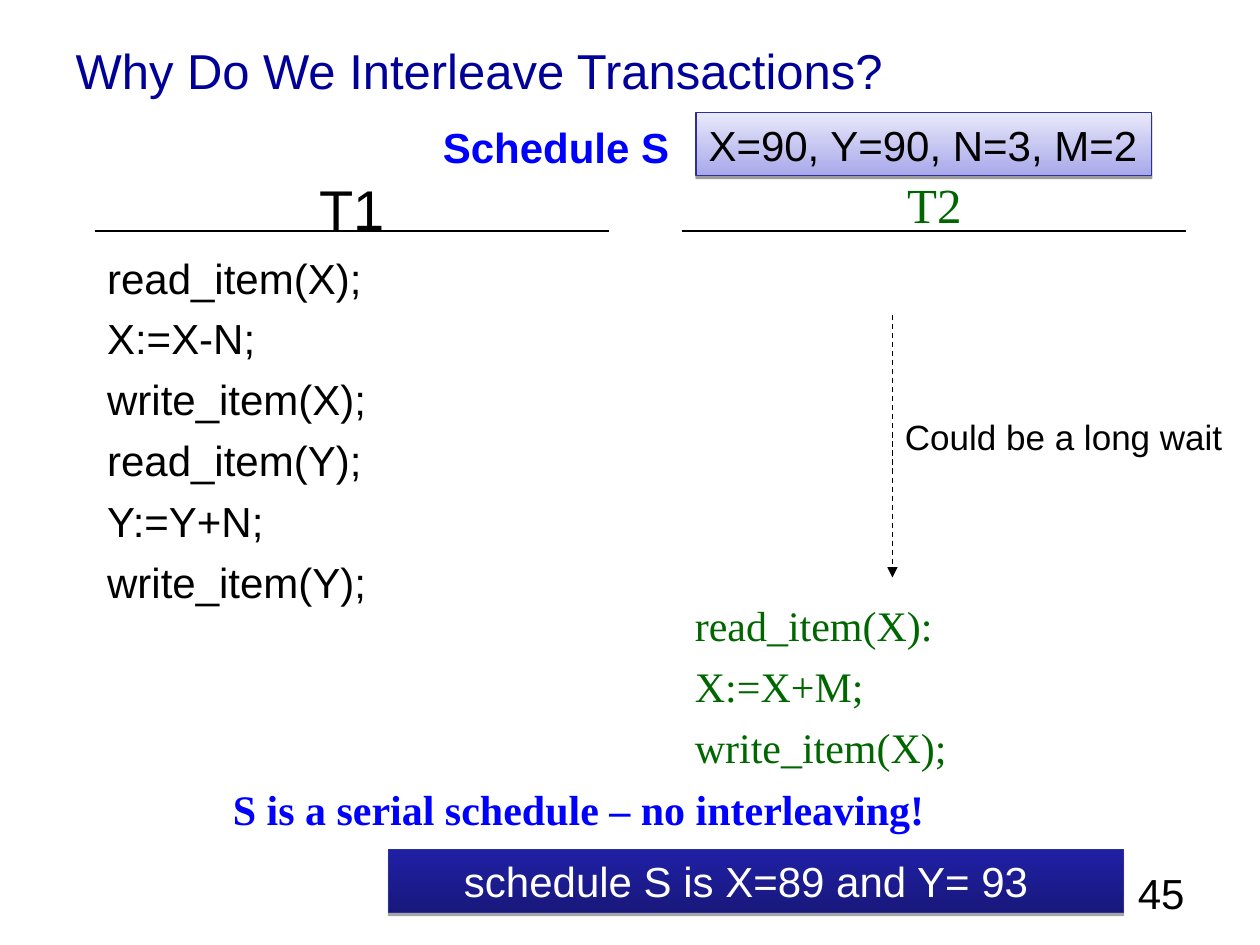
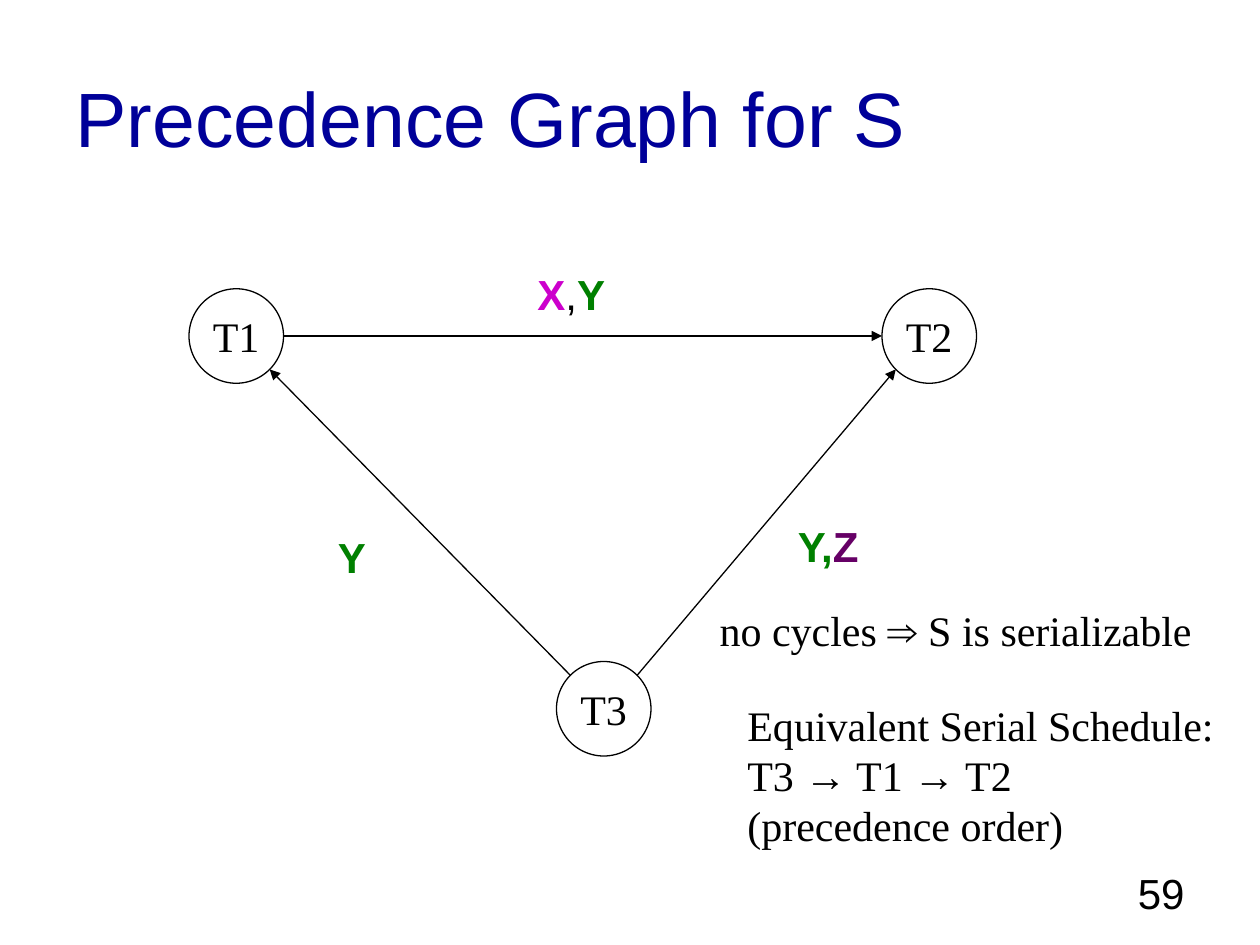
from lxml import etree
from pptx import Presentation
from pptx.dml.color import RGBColor
from pptx.enum.dml import MSO_LINE
from pptx.enum.shapes import MSO_CONNECTOR, MSO_SHAPE
from pptx.enum.text import MSO_ANCHOR, MSO_AUTO_SIZE, PP_ALIGN
from pptx.oxml.ns import qn
from pptx.util import Inches, Pt

LEFT, CENTER, RIGHT = PP_ALIGN.LEFT, PP_ALIGN.CENTER, PP_ALIGN.RIGHT
TOP, MIDDLE = MSO_ANCHOR.TOP, MSO_ANCHOR.MIDDLE
NO_FIT, GROW = MSO_AUTO_SIZE.NONE, MSO_AUTO_SIZE.SHAPE_TO_FIT_TEXT
RECT, OVAL = MSO_SHAPE.RECTANGLE, MSO_SHAPE.OVAL
STRAIGHT, DASH = MSO_CONNECTOR.STRAIGHT, MSO_LINE.DASH

# Shared style
SANS, SERIF = "Arial", "Times New Roman"
BLACK, WHITE, NAVY, BLUE = "000000", "FFFFFF", "000099", "0000FF"
DARK_GREEN, GREEN, MAGENTA, PURPLE = "006600", "008000", "CC00CC", "660066"
EDGE = "2F2F98"
TITLE_ONLY, TITLE_AND_BODY = 5, 1

# Grid of 120 columns by 90 rows
WIDTH, HEIGHT = Inches(10), Inches(7.5)
HANG = 4.5


def col(n):
    return round(WIDTH * n / 120)


def row(n):
    return round(HEIGHT * n / 90)


def area(x, y, w, h):
    return col(x), row(y), col(w), row(h)


def rgb(value):
    return RGBColor.from_string(value)


# Text
def add_runs(p, runs, size, font, color, bold=False):
    """Each run is a string or (string, overrides)."""
    for item in runs:
        text, own = item if isinstance(item, tuple) else (item, {})
        r = p.add_run()
        r.text = text
        r.font.size = Pt(size)
        r.font.name = own.get("font", font)
        r.font.bold = own.get("bold", bold)
        r.font.color.rgb = rgb(own.get("color", color))


def next_paragraph(tf):
    return tf.paragraphs[0] if not tf.paragraphs[0].runs else tf.add_paragraph()


def set_frame(tf, anchor=TOP, wrap=True, fit=NO_FIT):
    tf.word_wrap = wrap
    tf.auto_size = fit
    tf.vertical_anchor = anchor


def indent(p, left, first):
    pPr = p._p.get_or_add_pPr()
    pPr.set("marL", str(col(left)))
    pPr.set("indent", str(col(first)))
    etree.SubElement(pPr, qn("a:buNone"))


def place(sp, box):
    sp.left, sp.top, sp.width, sp.height = area(*box)


def add_title(slide, text, size, h):
    sp = slide.shapes.title
    place(sp, (6, 3.6, 108, h))
    set_frame(sp.text_frame, MIDDLE)
    p = sp.text_frame.paragraphs[0]
    p.alignment = LEFT
    add_runs(p, [text], size, SANS, NAVY)


def add_text(slide, box, *lines, size=24, font=SANS, color=BLACK, bold=False,
             align=LEFT, wrap=False, fit=GROW):
    tf = slide.shapes.add_textbox(*area(*box)).text_frame
    set_frame(tf, wrap=wrap, fit=fit)
    for runs in lines:
        p = next_paragraph(tf)
        p.alignment = align
        add_runs(p, runs, size, font, color, bold)


def add_number(slide, number):
    add_text(slide, (86, 82, 28, 6.2), [number], align=RIGHT, wrap=True, fit=NO_FIT)


def fill_schedule(tf, head, head_size, steps, font, color, wait=6):
    """Centred heading, then steps that begin after a wait in points."""
    set_frame(tf)
    for i, text in enumerate([head] + steps):
        p = next_paragraph(tf)
        indent(p, HANG, -HANG)
        p.alignment = LEFT if i else CENTER
        p.space_before = Pt((0, wait)[i] if i < 2 else 6)
        add_runs(p, [text], 24 if i else head_size, font, color)


# Shapes and lines
def add_shape(slide, kind, box, edge):
    sp = slide.shapes.add_shape(kind, *area(*box))
    sp.shadow.inherit = False
    sp.line.color.rgb = rgb(edge)
    sp.line.width = Pt(0.75)
    return sp


def add_banner(slide, box, text, color, shades, shadow, wrap=False, left=0):
    sp = add_shape(slide, RECT, box, EDGE)
    sp.fill.gradient()
    sp.fill.gradient_angle = 90
    for stop, shade in zip(sp.fill.gradient_stops, shades):
        stop.color.rgb = rgb(shade)
    alpha, distance = shadow
    effects = sp._element.spPr.find(qn("a:effectLst"))
    outer = etree.SubElement(effects, qn("a:outerShdw"), blurRad="0",
                             dist=str(Pt(distance)), dir="5400000", rotWithShape="0")
    tint = etree.SubElement(outer, qn("a:srgbClr"), val=BLACK)
    etree.SubElement(tint, qn("a:alpha"), val=str(alpha * 1000))
    set_frame(sp.text_frame, wrap=wrap, fit=GROW)
    p = sp.text_frame.paragraphs[0]
    indent(p, left, 0)
    p.alignment = LEFT
    add_runs(p, [text], 24, SANS, color)


def add_line(slide, start, end, dash=None, arrow=False):
    cn = slide.shapes.add_connector(STRAIGHT, col(start[0]), row(start[1]),
                                    col(end[0]), row(end[1]))
    cn.line.color.rgb = rgb(BLACK)
    cn.line.width = Pt(0.75)
    if dash:
        cn.line.dash_style = dash
    if arrow:
        etree.SubElement(cn.line._get_or_add_ln(), qn("a:tailEnd"), type="triangle")
    etree.SubElement(cn._element.spPr, qn("a:effectLst"))


def add_node(slide, name, center, radius):
    x, y = center
    sp = add_shape(slide, OVAL, (x - radius, y - radius, 2 * radius, 2 * radius), BLACK)
    sp.fill.solid()
    sp.fill.fore_color.rgb = rgb(WHITE)
    set_frame(sp.text_frame, MIDDLE, wrap=False)
    p = sp.text_frame.paragraphs[0]
    p.alignment = CENTER
    add_runs(p, [name], 24, SERIF, BLACK)


def add_edge(slide, tail, head, radius):
    """Arrow between circles, leaving at the side or at 45 degrees."""
    dx, dy = [(b > a) - (b < a) for a, b in zip(tail, head)]
    reach = radius * (0.5 ** 0.5 if dx and dy else 1)
    add_line(slide, (tail[0] + dx * reach, tail[1] + dy * reach),
             (head[0] - dx * reach, head[1] - dy * reach), arrow=True)


# Slides
def interleave_slide(prs):
    s = prs.slides.add_slide(prs.slide_layouts[TITLE_AND_BODY])
    add_title(s, "Why Do We Interleave Transactions?", 28, 6.1)

    # Two schedules, each under a ruled heading
    body = s.placeholders[1]
    place(body, (9, 16, 49, 59))
    fill_schedule(body.text_frame, "T1", 32,
                  ["read_item(X);", "X:=X-N;", "write_item(X);",
                   "read_item(Y);", "Y:=Y+N;", "write_item(Y);"], SANS, BLACK)
    add_number(s, "45")
    second = s.shapes.add_textbox(*area(65, 16, 48, 68))
    fill_schedule(second.text_frame, "T2", 28,
                  ["read_item(X):", "X:=X+M;", "write_item(X);"],
                  SERIF, DARK_GREEN, wait=209.5)
    for x, w in ((9, 49), (65, 48)):
        add_line(s, (x, 22), (x + w, 22))

    # Waiting time
    add_line(s, (85, 30), (85, 55), dash=DASH, arrow=True)
    add_text(s, (85, 39, 33.5, 5.3), ["Could be a long wait"], size=20)

    # Schedule, start values and result
    add_text(s, (21, 74, 74, 6), ["S is a serial schedule – no interleaving!"],
             font=SERIF, color=BLUE, bold=True, wrap=True)
    add_text(s, (41, 11, 25, 6), ["Schedule S"], color=BLUE, bold=True)
    add_banner(s, (66.3, 10.75, 43.4, 6), "X=90, Y=90, N=3, M=2", BLACK,
               ("A8A8EA", "E8E8FA"), (38, 1.6))
    add_banner(s, (37, 80.9, 70, 6), "schedule S is X=89 and Y= 93", WHITE,
               ("18187C", "2020A6"), (35, 1.8), wrap=True, left=6)


def graph_slide(prs):
    s = prs.slides.add_slide(prs.slide_layouts[TITLE_ONLY])
    add_title(s, "Precedence Graph for S", 44, 15)
    add_number(s, "59")

    # Graph
    radius = 4.5
    nodes = {"T1": (22.5, 32), "T2": (88.5, 32), "T3": (57.5, 67.5)}
    for name, center in nodes.items():
        add_node(s, name, center, radius)
    for tail, head in (("T1", "T2"), ("T3", "T1"), ("T3", "T2")):
        add_edge(s, nodes[tail], nodes[head], radius)

    # Edge labels
    add_text(s, (50, 25, 9.2, 6), [("X", {"color": MAGENTA}),
                                   (",", {"color": BLACK, "bold": False}), "Y"],
             color=GREEN, bold=True)
    add_text(s, (31, 50, 5.2, 6), ["Y"], color=GREEN, bold=True)
    add_text(s, (74.8, 49, 9, 6), ["Y,", ("Z", {"color": PURPLE})],
             color=GREEN, bold=True)

    # Conclusions
    arrow = ("→", {"font": SANS})
    add_text(s, (70, 66, 47.5, 15.6), ["Equivalent Serial Schedule:"],
             ["T3 ", arrow, " T1 ", arrow, " T2"], ["(precedence order)"], font=SERIF)
    add_text(s, (67.35, 57, 49, 6),
             ["no cycles ", ("⇒", {"font": SANS}), " S is serializable"], font=SERIF)


def main():
    prs = Presentation()
    prs.slide_width, prs.slide_height = WIDTH, HEIGHT
    interleave_slide(prs)
    graph_slide(prs)
    prs.save("out.pptx")


if __name__ == "__main__":
    main()
